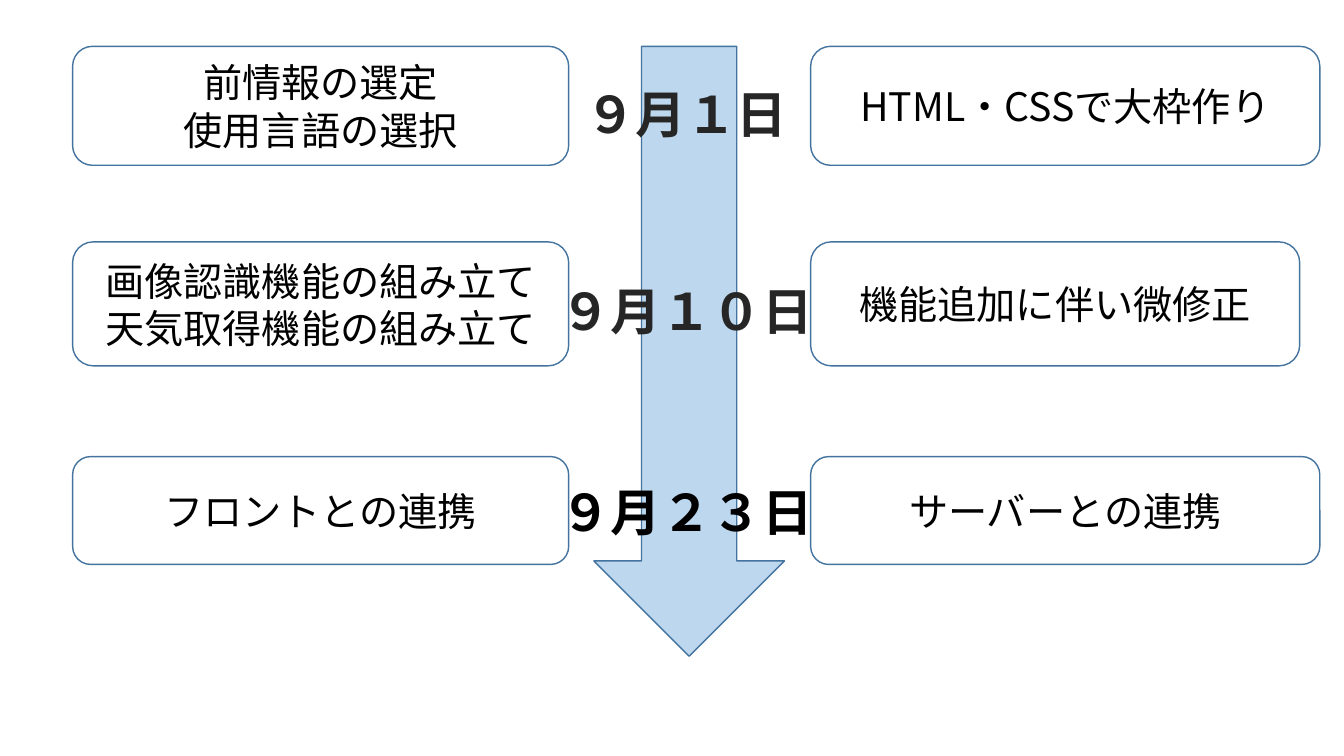
from lxml import etree
from pptx import Presentation
from pptx.dml.color import RGBColor
from pptx.enum import shapes, text
from pptx.oxml import ns
from pptx.util import Inches, Pt

FONT = "Noto Sans CJK JP"
BLACK = RGBColor(0x00, 0x00, 0x00)
CHARCOAL = RGBColor(0x26, 0x26, 0x26)
WHITE = RGBColor(0xFF, 0xFF, 0xFF)
PALE_BLUE = RGBColor(0xBD, 0xD7, 0xEE)
OUTLINE_BLUE = RGBColor(0x43, 0x73, 0x9E)

LEFT_X, LEFT_WIDTH = 0.72, 4.92
RIGHT_X = 8.04
ARROW = (5.89, 0.46, 1.89, 6.05)

# Each milestone: row top and height, left and right tasks, right box width,
# then the date with its colour and box (left, top, width, height)
MILESTONES = [
    (0.46, 1.18, ["前情報の選定", "使用言語の選択"], ["HTML・CSSで大枠作り"], 5.05,
     "９月１日", CHARCOAL, (5.71, 0.78, 2.26, 0.71)),
    (2.4, 1.23, ["画像認識機能の組み立て", "天気取得機能の組み立て"],
     ["機能追加に伴い微修正"], 4.85,
     "９月１０日", CHARCOAL, (5.46, 2.73, 2.89, 1.01)),
    (4.53, 1.07, ["フロントとの連携"], ["サーバーとの連携"], 5.05,
     "９月２３日", BLACK, (5.46, 4.72, 2.78, 0.71)),
]


def write_lines(frame, lines, size, color, alignment, bold=False):
    frame.word_wrap = True
    frame.text = "\n".join(lines)
    for paragraph in frame.paragraphs:
        paragraph.alignment = alignment
        font = paragraph.font
        font.name, font.size, font.bold = FONT, Pt(size), bold
        font.color.rgb = color
        # Japanese characters take the East Asian typeface of each run
        for run in paragraph.runs:
            properties = run.font._element if hasattr(run.font, "_element") else run._r.get_or_add_rPr()
            etree.SubElement(properties, ns.qn("a:ea"), typeface=FONT)


def add_outlined_shape(slide, kind, box, fill):
    shape = slide.shapes.add_shape(kind, *map(Inches, box))
    shape.shadow.inherit = False
    shape.fill.solid()
    shape.fill.fore_color.rgb = fill
    shape.line.color.rgb = OUTLINE_BLUE
    shape.line.width = Pt(1)
    return shape


def add_task_box(slide, box, lines):
    shape = add_outlined_shape(slide, shapes.MSO_SHAPE.ROUNDED_RECTANGLE, box, WHITE)
    shape.text_frame.vertical_anchor = text.MSO_ANCHOR.MIDDLE
    write_lines(shape.text_frame, lines, 28, BLACK, text.PP_ALIGN.CENTER)


def add_date(slide, box, date, color):
    frame = slide.shapes.add_textbox(*map(Inches, box)).text_frame
    write_lines(frame, [date], 36, color, text.PP_ALIGN.LEFT, bold=True)


def main():
    presentation = Presentation()
    presentation.slide_width = Inches(13.33)
    presentation.slide_height = Inches(7.5)
    slide = presentation.slides.add_slide(presentation.slide_layouts[6])

    add_outlined_shape(slide, shapes.MSO_SHAPE.DOWN_ARROW, ARROW, PALE_BLUE)
    for top, height, left_tasks, right_tasks, right_width, date, color, date_box in MILESTONES:
        add_task_box(slide, (LEFT_X, top, LEFT_WIDTH, height), left_tasks)
        add_task_box(slide, (RIGHT_X, top, right_width, height), right_tasks)
        add_date(slide, date_box, date, color)

    presentation.save("out.pptx")


if __name__ == "__main__":
    main()
